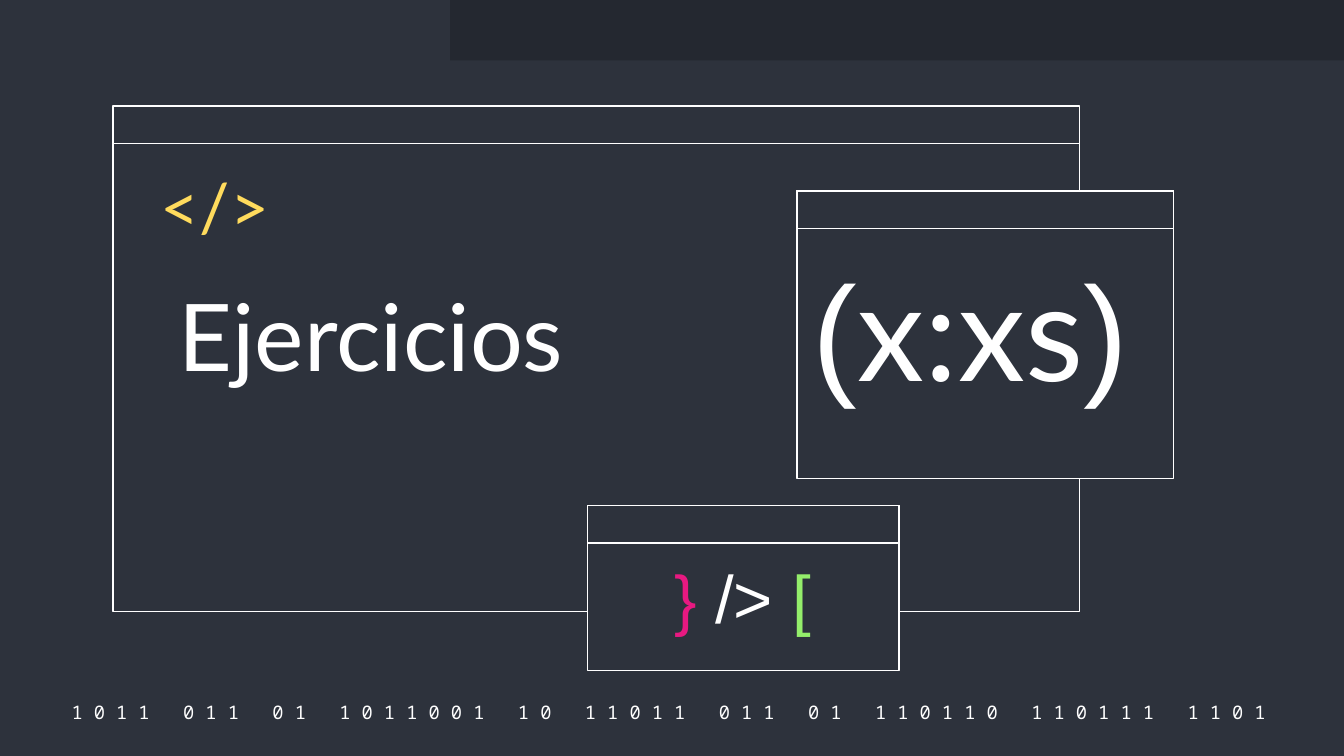
from pptx import Presentation
from pptx.dml.color import RGBColor as RGB
from pptx.enum.shapes import MSO_SHAPE as Kind
from pptx.enum.text import MSO_ANCHOR as Anchor, MSO_AUTO_SIZE as Fit, PP_ALIGN as Align
from pptx.util import Inches, Pt

SLATE, DARK = RGB(0x2D, 0x32, 0x3C), RGB(0x24, 0x28, 0x30)
WHITE, YELLOW = RGB(0xFF, 0xFF, 0xFF), RGB(0xFF, 0xDB, 0x5D)
PINK, GREEN = RGB(0xE8, 0x19, 0x81), RGB(0x94, 0xEE, 0x6B)

WIDE = 10
HIGH = WIDE * 9 / 16
BAR = 0.28
BAND = (3.35, 0, WIDE - 3.35, 0.45)
WINDOWS = [
    (0.84, 0.79, 7.19, 3.76),
    (4.37, 3.76, 2.32, 1.23),
    (5.93, 1.42, 2.8, 2.14),
]

BITS = "1011 011 01 1011001 10 11011 011 01 110110 110111 1101"
DIGITS = "   ".join(" ".join(word) for word in BITS.split()) + " "

# Each run is (text, font, colour)
FOOTER = dict(box=(0.38, 5.2, 9.27, 0.2), size=10, align=Align.CENTER,
              anchor=Anchor.MIDDLE, runs=[(DIGITS, "Noto Sans Mono", WHITE)])
TITLE = dict(box=(1.23, 2.04, 3.32, 0.9), size=50, align=Align.JUSTIFY,
             anchor=Anchor.MIDDLE, runs=[("Ejercicios", "Lato", WHITE)])
LABELS = [
    dict(box=(0.92, 1.2, 1.18, 0.62), size=36, align=Align.RIGHT, space=0.9,
         runs=[("</>", "Lato", YELLOW)]),
    dict(box=(4.86, 4.11, 1.33, 0.82), size=36, align=Align.CENTER, space=0.9,
         runs=[("}", "Arial", PINK), (" /> ", "Arial", WHITE),
               ("[", "Arial", GREEN)]),
    dict(box=(5.95, 1.99, 2.97, 0.9), size=72, align=Align.JUSTIFY,
         anchor=Anchor.MIDDLE,
         runs=[("(", "Arial", WHITE), ("x:xs", "Lato", WHITE),
               (")", "Arial", WHITE)]),
]


def assign(obj, **values):
    for name, value in values.items():
        setattr(obj, name, value)


def place(box):
    return [Inches(n) for n in box]


def rect(slide, box, fill, line=None):
    shape = slide.shapes.add_shape(Kind.RECTANGLE, *place(box))
    shape.shadow.inherit = False
    shape.fill.solid()
    shape.fill.fore_color.rgb = fill
    if line is None:
        shape.line.fill.background()
    else:
        shape.line.color.rgb = line
        shape.line.width = Pt(0.75)


def write(shape, box, size, align, runs, anchor=Anchor.TOP, space=1.0):
    """Place a text shape and fill it with one paragraph of styled runs."""
    assign(shape, **dict(zip(("left", "top", "width", "height"), place(box))))
    frame = shape.text_frame
    assign(frame, word_wrap=True, auto_size=Fit.NONE, vertical_anchor=anchor)
    for side in ("left", "right", "top", "bottom"):
        setattr(frame, f"margin_{side}", Inches(0.1))
    para = frame.paragraphs[0]
    assign(para, alignment=align, line_spacing=space, space_before=Pt(0))
    for text, face, color in runs:
        run = para.add_run()
        run.text = text
        assign(run.font, name=face, size=Pt(size))
        run.font.color.rgb = color


def label(slide, item):
    write(slide.shapes.add_textbox(*place(item["box"])), **item)


def main():
    deck = Presentation()
    assign(deck, slide_width=Inches(WIDE), slide_height=Inches(HIGH))
    slide = deck.slides.add_slide(deck.slide_layouts[5])
    slide.background.fill.solid()
    slide.background.fill.fore_color.rgb = SLATE

    label(slide, FOOTER)
    rect(slide, BAND, DARK)
    for left, top, width, height in WINDOWS:
        for tall in (height, BAR):
            rect(slide, (left, top, width, tall), SLATE, WHITE)

    title = slide.shapes.title
    title.element.getparent().append(title.element)  # in front of the windows
    write(title, **TITLE)
    for item in LABELS:
        label(slide, item)
    deck.save("out.pptx")


if __name__ == "__main__":
    main()
